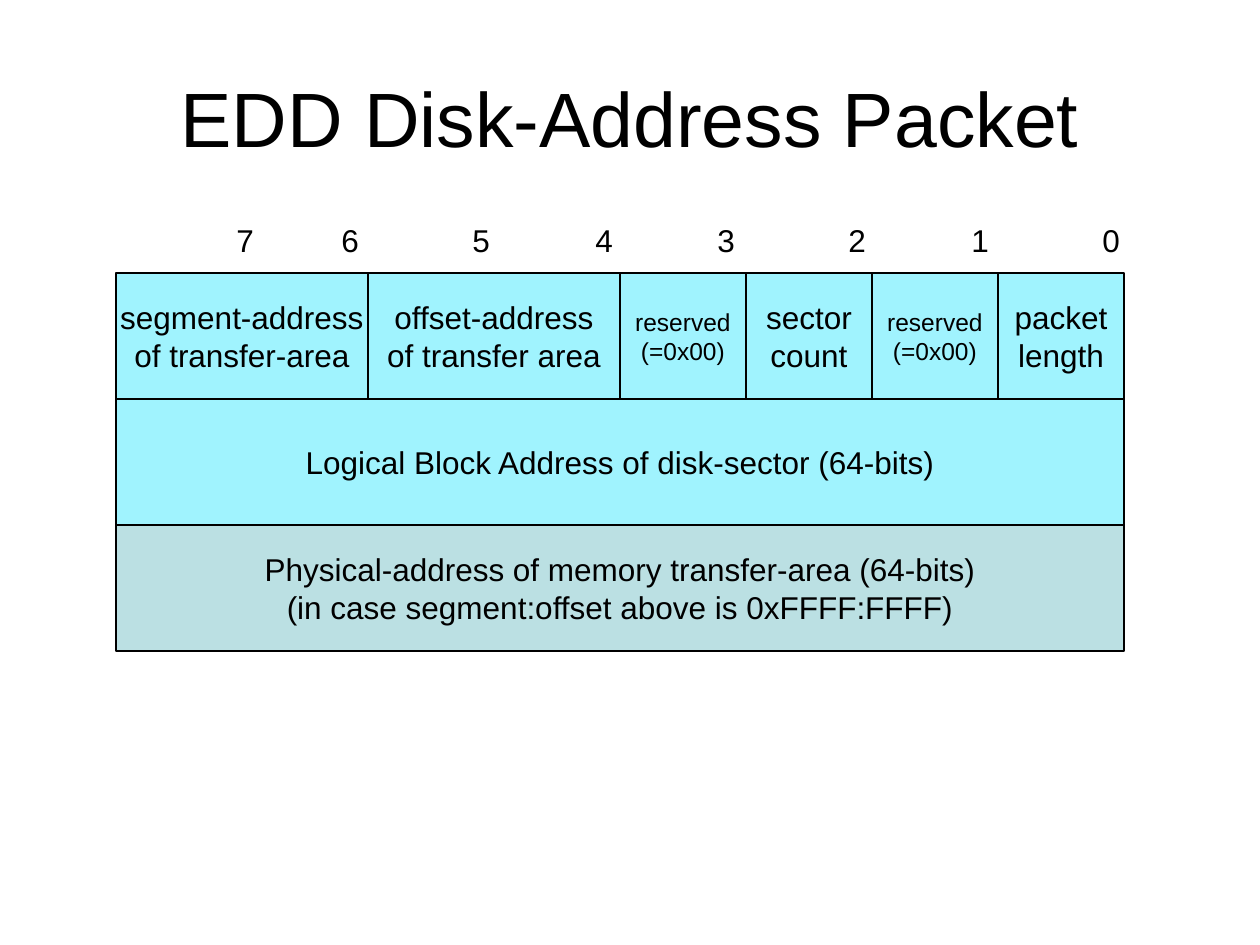
from lxml.etree import SubElement
from pptx import Presentation
from pptx.dml.color import RGBColor
from pptx.enum.shapes import MSO_SHAPE
from pptx.enum.text import MSO_ANCHOR, PP_ALIGN
from pptx.oxml.ns import qn
from pptx.util import Pt

TITLE = "EDD Disk-Address Packet"
FONT = "Arial"
COLORS = {"ink": "000000", "field": "A0F3FE", "physical": "BBE0E3"}

RESERVED = (1, 14, "field", ["reserved", "(=0x00)"])
ROWS = [
    [
        (2, 18, "field", ["segment-address", "of transfer-area"]),
        (2, 18, "field", ["offset-address", "of transfer area"]),
        RESERVED,
        (1, 18, "field", ["sector", "count"]),
        RESERVED,
        (1, 18, "field", ["packet", "length"]),
    ],
    [(8, 18, "field", ["Logical Block Address of disk-sector (64-bits)"])],
    [(8, 18, "physical", ["Physical-address of memory transfer-area (64-bits)",
                          "(in case segment:offset above is 0xFFFF:FFFF)"])],
]
BYTE_TABS = [(7, 69), (6, 174), (5, 305), (4, 428),
             (3, 550), (2, 681), (1, 804), (0, 935)]

PX = 914400 // 126
BYTE = 126
LEFT, TOP = 116, 273


def px(*lengths):
    return [length * PX for length in lengths]


def color(name):
    return RGBColor.from_string(COLORS[name])


def style(para, size, align):
    para.alignment = align
    para.font.name = FONT
    para.font.size = Pt(size)
    para.font.color.rgb = color("ink")


def add_field(page, x, y, width, size, fill, lines):
    box = page.shapes.add_shape(MSO_SHAPE.RECTANGLE, *px(x, y, width, BYTE))
    box.shadow.inherit = False
    box.fill.solid()
    box.fill.fore_color.rgb = color(fill)
    box.line.color.rgb = color("ink")
    box.line.width = Pt(0.75)
    frame = box.text_frame
    frame.word_wrap = False
    frame.vertical_anchor = MSO_ANCHOR.MIDDLE
    frame.text = "\n".join(lines)
    for para in frame.paragraphs:
        style(para, size, PP_ALIGN.CENTER)


def add_byte_numbers(page):
    box = page.shapes.add_textbox(*px(155, 215, 979, 50))
    box.text_frame.word_wrap = True
    para = box.text_frame.paragraphs[0]
    para.text = "".join(f"\t{number}" for number, _ in BYTE_TABS)
    tabs = SubElement(para._p.get_or_add_pPr(), qn("a:tabLst"))
    for _, position in BYTE_TABS:
        SubElement(tabs, qn("a:tab"), pos=str(position * PX), algn="l")
    style(para, 18, PP_ALIGN.LEFT)


def main():
    deck = Presentation()
    deck.slide_width, deck.slide_height = px(1260, 945)
    page = deck.slides.add_slide(deck.slide_layouts[5])

    title = page.shapes.title
    title.left, title.top, title.width, title.height = px(63, 38, 1134, 157)
    title.text_frame.text = TITLE
    title.text_frame.vertical_anchor = MSO_ANCHOR.MIDDLE
    style(title.text_frame.paragraphs[0], 44, PP_ALIGN.CENTER)

    for row, fields in enumerate(ROWS):
        x = LEFT
        for count, size, fill, lines in fields:
            add_field(page, x, TOP + row * BYTE, count * BYTE, size, fill, lines)
            x += count * BYTE
    add_byte_numbers(page)

    deck.save("out.pptx")


if __name__ == "__main__":
    main()
